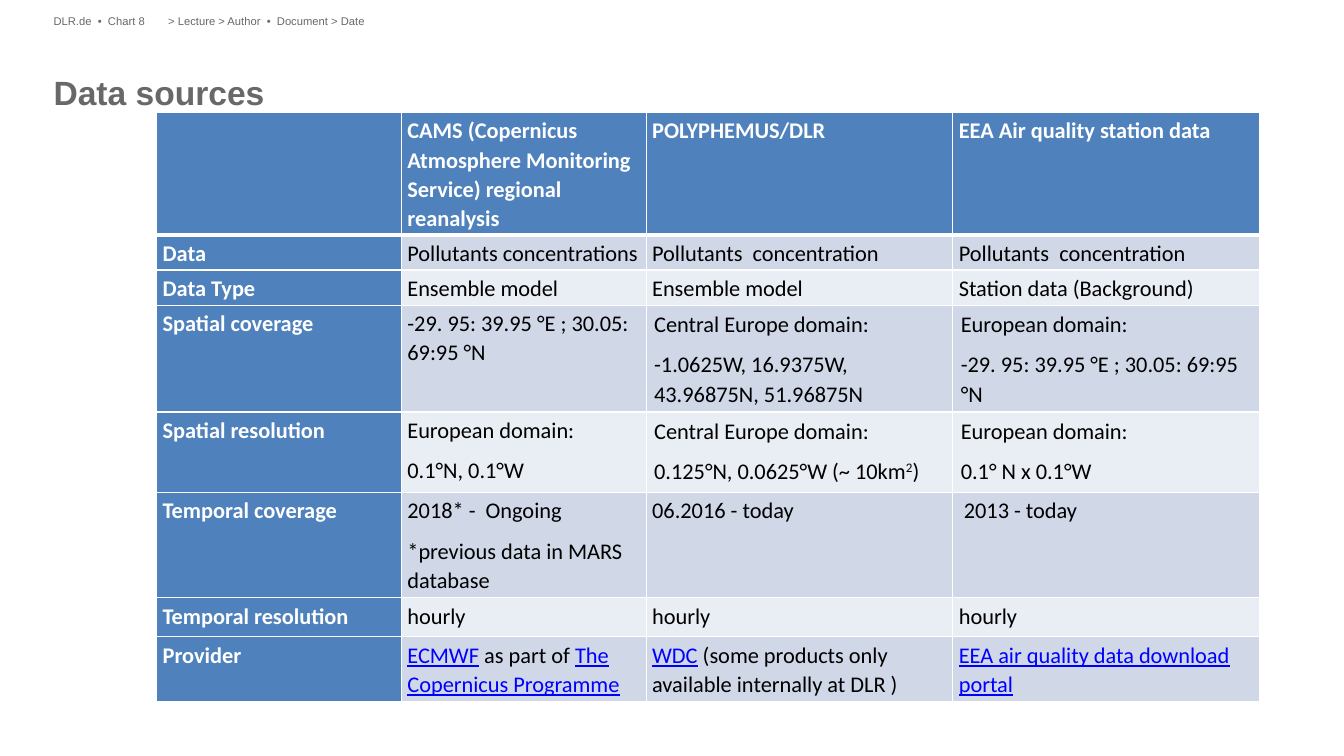
from lxml import etree
from pptx import Presentation
from pptx.dml.color import RGBColor
from pptx.oxml.ns import qn
from pptx.util import Cm, Pt

WHITE = RGBColor(0xFF, 0xFF, 0xFF)
BLACK = RGBColor(0x00, 0x00, 0x00)
GREY = RGBColor(0x68, 0x68, 0x68)
BLUE = RGBColor(0x4F, 0x81, 0xBD)
DARK = RGBColor(0xD0, 0xD8, 0xE8)
LIGHT = RGBColor(0xE9, 0xED, 0xF4)
LINK = RGBColor(0x00, 0x00, 0xFF)

WIDTHS = [6.17, 6.17, 7.73, 7.73]
HEIGHTS = [3.09, 0.88, 0.88, 2.69, 2.03, 2.65, 0.99, 1.62]
ROOMY = {(3, 2), (3, 3), (4, 2), (4, 3)}
ROWS = [
    ["", "CAMS (Copernicus Atmosphere Monitoring Service) regional reanalysis",
     "POLYPHEMUS/DLR", "EEA Air quality station data"],
    ["Data", "Pollutants concentrations", "Pollutants  concentration",
     "Pollutants  concentration"],
    ["Data Type", "Ensemble model", "Ensemble model", "Station data (Background)"],
    ["Spatial coverage", "-29. 95: 39.95 °E ; 30.05: 69:95 °N",
     "Central Europe domain:\n-1.0625W, 16.9375W, 43.96875N, 51.96875N",
     "European domain:\n-29. 95: 39.95 °E ; 30.05: 69:95 °N"],
    ["Spatial resolution", "European domain:\n0.1°N, 0.1°W",
     "Central Europe domain:\n0.125°N, 0.0625°W (~ 10km^2^)",
     "European domain:\n0.1° N x 0.1°W"],
    ["Temporal coverage", "2018* -  Ongoing\n*previous data in MARS database",
     "06.2016 - today", " 2013 - today"],
    ["Temporal resolution", "hourly", "hourly", "hourly"],
    ["Provider", "_ECMWF_ as part of _The Copernicus Programme_",
     "_WDC_ (some products only available internally at DLR )",
     "_EEA air quality data download portal_"],
]


def assign(item, values):
    for name, value in values.items():
        setattr(item, name, value)


class Deck:
    def __init__(self):
        self.show = Presentation()
        assign(self.show, {"slide_width": Cm(33.88), "slide_height": Cm(19.05)})
        self.slide = self.show.slides.add_slide(self.show.slide_layouts[6])
        self.body = {"name": "Calibri", "size": Pt(16)}

    def run(self, para, text, color, style):
        run = para.add_run()
        run.text = text
        assign(run.font, style)
        run.font.color.rgb = color
        return run

    def label(self, text, left, top, width, height, size, bold=False):
        box = self.slide.shapes.add_textbox(Cm(left), Cm(top), Cm(width), Cm(height))
        frame = box.text_frame
        assign(frame, {"word_wrap": True, "margin_left": 0, "margin_right": 0,
                       "margin_top": 0, "margin_bottom": 0})
        style = {"name": "Arial", "size": Pt(size), "bold": bold}
        self.run(frame.paragraphs[0], text, GREY, style)

    def prose(self, frame, text, color, bold):
        for at, line in enumerate(text.split("\n")):
            para = frame.add_paragraph() if at else frame.paragraphs[0]
            assign(para, {"line_spacing": 1.07, "space_after": Pt(8)})
            for turn, part in enumerate(line.split("_")):
                linked = turn % 2 == 1
                style = {**self.body, "bold": bold, "underline": linked}
                for step, piece in enumerate(part.split("^")):
                    if piece:
                        run = self.run(para, piece, LINK if linked else color, style)
                        if step % 2:
                            run._r.get_or_add_rPr().set("baseline", "30000")

    def border(self, cell, row):
        props = cell._tc.get_or_add_tcPr()
        widths = {"L": 1, "R": 1, "T": 3 if row == 1 else 1, "B": 3 if row == 0 else 1}
        for side, width in widths.items():
            line = etree.SubElement(props, qn(f"a:ln{side}"), w=str(int(Pt(width))))
            fill = etree.SubElement(line, qn("a:solidFill"))
            etree.SubElement(fill, qn("a:srgbClr"), val=str(WHITE))

    def table(self, rows, left, top):
        grid = self.slide.shapes.add_table(
            len(rows), len(WIDTHS), Cm(left), Cm(top),
            Cm(sum(WIDTHS)), Cm(sum(HEIGHTS))).table
        assign(grid, {"first_col": True, "horz_banding": False})
        for col, width in zip(grid.columns, WIDTHS):
            col.width = Cm(width)
        for line, height in zip(grid.rows, HEIGHTS):
            line.height = Cm(height)
        for r, texts in enumerate(rows):
            for c, text in enumerate(texts):
                cell = grid.cell(r, c)
                side, edge = (0.2, 0.1) if (r, c) in ROOMY else (0.15, 0.08)
                assign(cell, {"margin_left": Cm(side), "margin_right": Cm(side),
                              "margin_top": Cm(edge), "margin_bottom": Cm(edge)})
                head = r == 0 or c == 0
                self.border(cell, r)
                cell.fill.solid()
                cell.fill.fore_color.rgb = BLUE if head else DARK if r % 2 else LIGHT
                self.prose(cell.text_frame, text, WHITE if head else BLACK, head)


def main():
    deck = Deck()
    deck.label("Data sources", 1.35, 1.8, 31.17, 2.06, 24, True)
    deck.label("> Lecture > Author  •  Document > Date", 4.24, 0.36, 28.27, 0.41, 8)
    deck.label("DLR.de  •  Chart 8", 1.35, 0.36, 2.9, 0.41, 8)
    deck.table(ROWS, 3.95, 2.83)
    deck.show.save("out.pptx")


if __name__ == "__main__":
    main()
